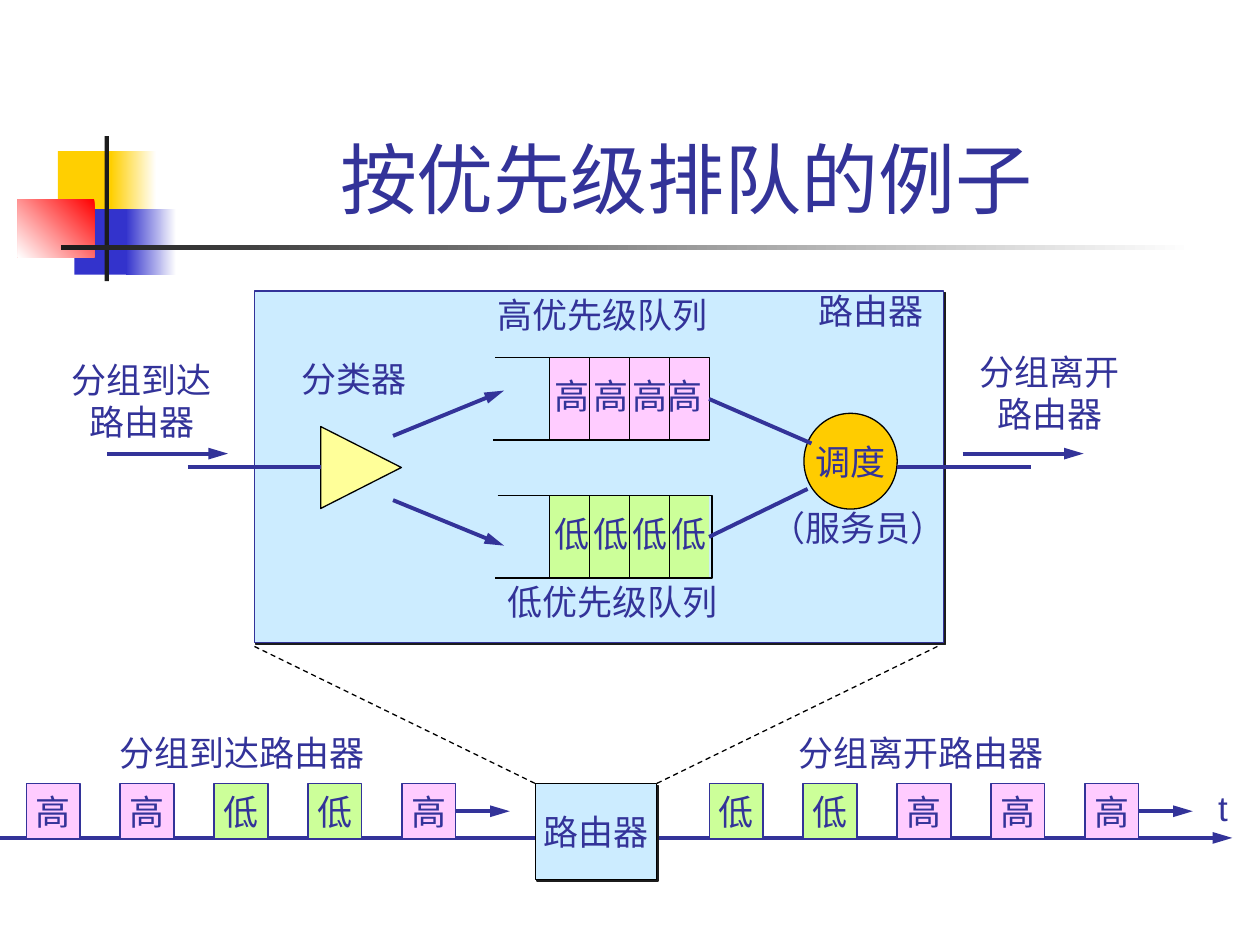
from typing import NamedTuple, Optional

from lxml import etree
from pptx import Presentation
from pptx.dml.color import RGBColor
from pptx.enum.dml import MSO_LINE
from pptx.enum.shapes import MSO_CONNECTOR, MSO_SHAPE
from pptx.enum.text import MSO_ANCHOR, MSO_AUTO_SIZE, PP_ALIGN
from pptx.oxml.ns import qn
from pptx.util import Pt

RECT, OVAL, TRIANGLE = MSO_SHAPE.RECTANGLE, MSO_SHAPE.OVAL, MSO_SHAPE.ISOSCELES_TRIANGLE
STRAIGHT, DASH = MSO_CONNECTOR.STRAIGHT, MSO_LINE.DASH
LEFT, CENTER = PP_ALIGN.LEFT, PP_ALIGN.CENTER
BOTTOM, MIDDLE = MSO_ANCHOR.BOTTOM, MSO_ANCHOR.MIDDLE
NO_FIT, GROW = MSO_AUTO_SIZE.NONE, MSO_AUTO_SIZE.SHAPE_TO_FIT_TEXT
RIGHT_SITE = 3

NAVY, BLACK, DARK, WHITE = "333399", "000000", "1C1C1C", "FFFFFF"
SKY, PINK, GREEN, YELLOW, AMBER = "CCECFF", "FFCCFF", "CCFF99", "FFFF99", "FFCC00"
GOLD, BLUE, RED = "FFCF01", "3333CC", "FF0000"
PACKET_FILLS = {"高": PINK, "低": GREEN}


class Box(NamedTuple):
    x: float
    y: float
    w: float
    h: float


class Deco(NamedTuple):
    box: Box
    start: str
    end: Optional[str] = None
    angle: float = 180


class Label(NamedTuple):
    text: str
    box: Box
    align: PP_ALIGN = LEFT


class Line(NamedTuple):
    x1: float
    y1: float
    x2: float
    y2: float
    color: str = NAVY
    width: float = 2.25
    arrow: bool = False
    dashed: bool = False


class Queue(NamedTuple):
    text: str
    text_w: float
    fill: str
    top: float
    mouth: float
    right: float
    link_end: tuple


DECOS = [
    Deco(Box(33.1, 86.4, 34.6, 37.4), GOLD),
    Deco(Box(63.4, 86.4, 25.9, 37.4), WHITE, GOLD),
    Deco(Box(42.5, 119.5, 33.1, 37.4), BLUE),
    Deco(Box(72, 119.5, 28.8, 37.4), WHITE, BLUE),
    Deco(Box(10.1, 113.8, 43.9, 33.1), RED, WHITE, 225),
    Deco(Box(59.8, 77.8, 2.4, 82.8), DARK),
    Deco(Box(34.6, 140.2, 648, 2.4), WHITE, DARK),
]
LABELS = [
    Label("高优先级队列", Box(277.2, 164.2, 136, 31.7)),
    Label("低优先级队列", Box(283, 328.3, 136, 31.7)),
    Label("分组到达\n路由器", Box(33.1, 201.6, 96, 55.4), CENTER),
    Label("分组离开\n路由器", Box(551.8, 196.6, 96, 55.4), CENTER),
    Label("分类器", Box(165.2, 200.9, 76, 31.7)),
    Label("（服务员）", Box(433.4, 285.8, 116, 31.7)),
    Label("路由器", Box(460.8, 162, 76, 31.7)),
    Label("分组到达路由器", Box(61.2, 414.7, 156, 31.7)),
    Label("分组离开路由器", Box(449.3, 414.7, 156, 31.7)),
    Label("t", Box(689, 445.7, 20, 31.7)),
]
LINES = [
    Line(61.2, 259.2, 130.3, 259.2, arrow=True),
    Line(550.1, 259.2, 619.2, 259.2, arrow=True),
    Line(224.6, 249.1, 288, 223.2, arrow=True),
    Line(224.6, 285.8, 288, 311.8, arrow=True),
    Line(107.3, 267.1, 183.6, 267.1),
    Line(512.6, 267.1, 589, 267.1),
    Line(145.4, 369.4, 306, 447.8, BLACK, 0.75, dashed=True),
    Line(535.7, 369.4, 375.1, 447.8, BLACK, 0.75, dashed=True),
]
QUEUES = [
    Queue("高 高 高高", 101, PINK, 204.5, 281.5, 405.4, (463.7, 253.4)),
    Queue("低 低 低 低", 104, GREEN, 283.3, 283, 406.8, (461.5, 279.4)),
]
CELL_X, CELL_W, QUEUE_H = 314, 22.8, 47
PACKET_TOP, PACKET_W, PACKET_H, PACKET_STEP = 447.8, 30.6, 31.5, 53.65
TRAINS = [(15.1, "高高低低高"), (405.4, "低低高高高")]


def rgb(color: str) -> RGBColor:
    return RGBColor.from_string(color)


def style_run(r, size: float = 20) -> None:
    r.font.name = "Arial"
    r.font.size = Pt(size)
    r.font.color.rgb = rgb(NAVY)


def set_text(tf, text: str, align: PP_ALIGN, size: float = 20) -> None:
    tf.text = text
    for p in tf.paragraphs:
        p.alignment = align
        for r in p.runs:
            style_run(r, size)


def add_box(shapes, kind, box: Box, fill: str, line: Optional[str] = None,
            width: float = 0.75, text: str = ""):
    sp = shapes.add_shape(kind, *map(Pt, box))
    sp.shadow.inherit = False
    sp.fill.solid()
    sp.fill.fore_color.rgb = rgb(fill)
    if line:
        sp.line.color.rgb = rgb(line)
        sp.line.width = Pt(width)
    else:
        sp.line.fill.background()
    if text:
        sp.text_frame.word_wrap = False
        sp.text_frame.vertical_anchor = MIDDLE
        set_text(sp.text_frame, text, CENTER)
    return sp


def add_drop_shadow(sp) -> None:
    effects = sp._element.spPr.find(qn("a:effectLst"))
    shadow = etree.SubElement(effects, qn("a:outerShdw"), dist=str(Pt(1.4)), dir="2700000", algn="ctr")
    etree.SubElement(shadow, qn("a:srgbClr"), val=DARK)


def add_deco(shapes, deco: Deco) -> None:
    sp = add_box(shapes, RECT, deco.box, deco.start)
    if deco.end:
        sp.fill.gradient()
        sp.fill.gradient_angle = deco.angle
        for stop, color in zip(sp.fill.gradient_stops, (deco.start, deco.end)):
            stop.color.rgb = rgb(color)


def add_label(shapes, label: Label):
    tf = shapes.add_textbox(*map(Pt, label.box)).text_frame
    tf.word_wrap = False
    tf.auto_size = GROW
    set_text(tf, label.text, label.align)
    return tf


def add_line(shapes, line: Line):
    cx = shapes.add_connector(STRAIGHT, Pt(line.x1), Pt(line.y1), Pt(line.x2), Pt(line.y2))
    cx.line.color.rgb = rgb(line.color)
    cx.line.width = Pt(line.width)
    if line.dashed:
        cx.line.dash_style = DASH
    if line.arrow:
        etree.SubElement(cx.line._get_or_add_ln(), qn("a:tailEnd"), type="triangle", len="lg")
    etree.SubElement(cx._element.spPr, qn("a:effectLst"))
    return cx


def add_queue(shapes, queue: Queue) -> None:
    bottom = queue.top + QUEUE_H
    cells = add_box(shapes, RECT, Box(CELL_X, queue.top, 4 * CELL_W, QUEUE_H), queue.fill)
    outline = shapes.build_freeform(Pt(queue.mouth + 1.4), Pt(queue.top), scale=1.0)
    corners = [(queue.right, queue.top), (queue.right, bottom), (queue.mouth, bottom)]
    outline.add_line_segments([(Pt(x), Pt(y)) for x, y in corners], close=False)
    sp = outline.convert_to_shape()
    sp.shadow.inherit = False
    sp.fill.background()
    sp.line.color.rgb = rgb(BLACK)
    sp.line.width = Pt(0.75)
    for i in range(4):
        x = CELL_X + i * CELL_W
        add_line(shapes, Line(x, queue.top, x, bottom, BLACK, 0.75))
    tf = add_label(shapes, Label("", Box(309.6, queue.top + 6, queue.text_w, 31.7)))
    for char in queue.text:
        r = tf.paragraphs[0].add_run()
        r.text = char
        style_run(r, 10 if char == " " else 20)
    link = add_line(shapes, Line(CELL_X + 4 * CELL_W, queue.top + QUEUE_H / 2, *queue.link_end))
    link.begin_connect(cells, RIGHT_SITE)


def add_train(shapes, left: float, packets: str) -> None:
    for i, name in enumerate(packets):
        box = Box(left + i * PACKET_STEP, PACKET_TOP, PACKET_W, PACKET_H)
        packet = add_box(shapes, RECT, box, PACKET_FILLS[name], NAVY, 1, name)
    x, y = box.x + PACKET_W, PACKET_TOP + PACKET_H / 2
    add_line(shapes, Line(x, y, x + 31, y, arrow=True)).begin_connect(packet, RIGHT_SITE)


def main() -> None:
    prs = Presentation()
    prs.slide_width, prs.slide_height = Pt(720), Pt(540)
    s = prs.slides.add_slide(prs.slide_layouts[5])
    shapes = s.shapes
    title = shapes.title
    title.left, title.top, title.width, title.height = map(Pt, (90.7, 16.6, 613.4, 115.2))
    title.text_frame.auto_size = NO_FIT
    title.text_frame.vertical_anchor = BOTTOM
    set_text(title.text_frame, "按优先级排队的例子 ", CENTER, 44)
    for deco in DECOS:
        add_deco(shapes, deco)
    add_line(shapes, Line(0, 478.8, 704.2, 478.8, arrow=True))
    add_drop_shadow(add_box(shapes, RECT, Box(145.4, 166.3, 393.8, 200.9), SKY, NAVY))
    add_box(shapes, TRIANGLE, Box(182.9, 244.1, 46.8, 46.1), YELLOW, BLACK).rotation = 90
    add_box(shapes, OVAL, Box(459.4, 236.2, 53.3, 54.7), AMBER, BLACK, text="调度")
    for queue in QUEUES:
        add_queue(shapes, queue)
    add_drop_shadow(add_box(shapes, RECT, Box(306, 447.8, 69.1, 54.7), SKY, BLACK, text="路由器"))
    for line in LINES:
        add_line(shapes, line)
    for left, packets in TRAINS:
        add_train(shapes, left, packets)
    for label in LABELS:
        add_label(shapes, label)
    prs.save("out.pptx")


if __name__ == "__main__":
    main()
